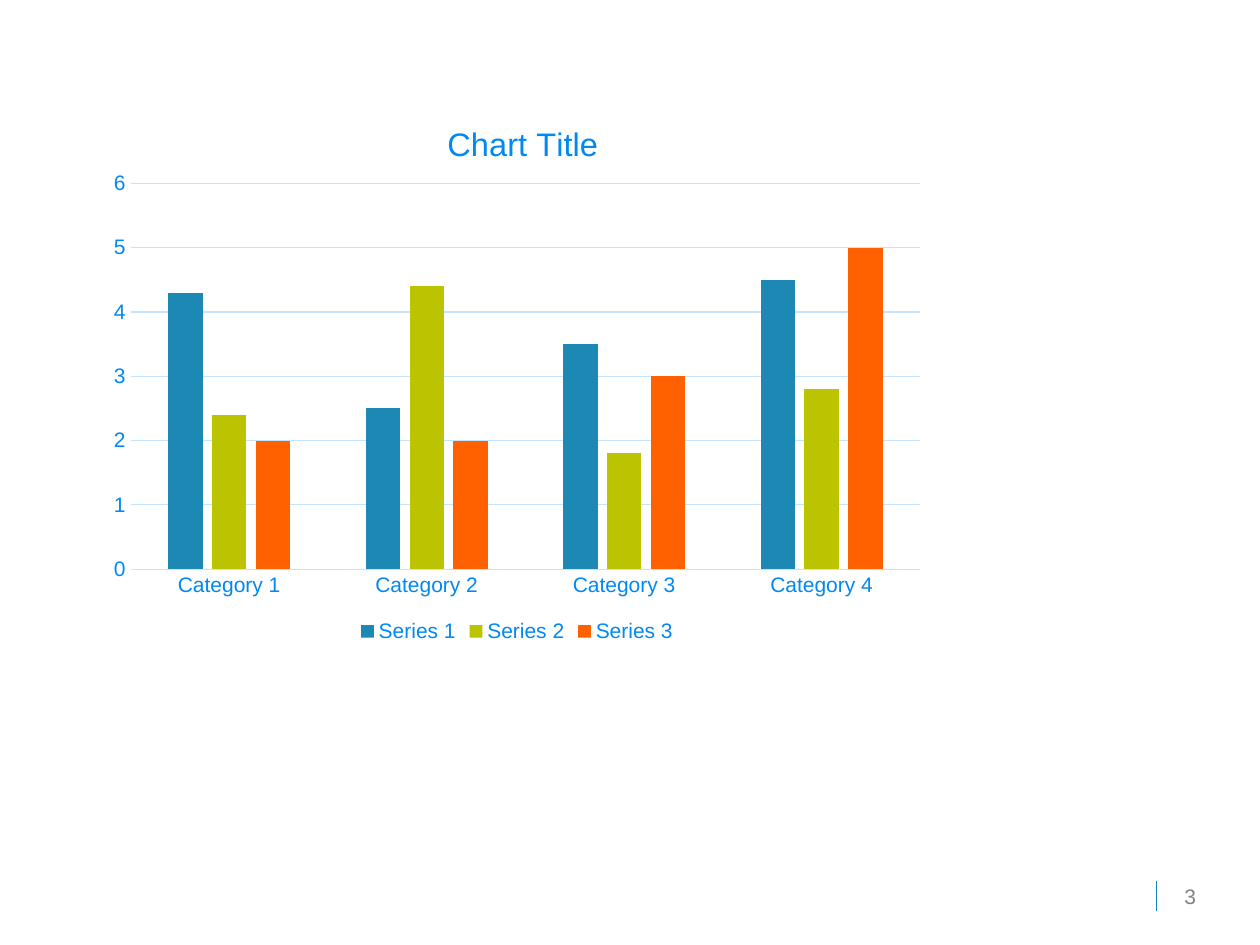
from dataclasses import dataclass

from lxml import etree
from pptx import Presentation
from pptx.chart.data import CategoryChartData
from pptx.dml.color import RGBColor
from pptx.enum import chart as ch, shapes, text
from pptx.oxml import parse_xml
from pptx.oxml.ns import nsdecls, qn
from pptx.util import Pt


@dataclass(frozen=True)
class Theme:
    face: str = "Arial"
    base: str = "003864"
    label: str = "0088F3"
    grid: str = "C2E4FF"
    rule: str = "1987B4"
    page: str = "818286"
    bars: tuple = ("1D88B4", "BCC300", "FF6000")
    head_size: float = 18.6
    text_size: float = 12
    base_size: float = 10
    line: float = 0.75


THEME = Theme()
CATS = [f"Category {n}" for n in range(1, 5)]
ROWS = [(4.3, 2.5, 3.5, 4.5), (2.4, 4.4, 1.8, 2.8), (2, 2, 3, 5)]


def style(font, size, color):
    font.name = THEME.face
    font.size = Pt(size)
    font.bold = False
    font.color.rgb = RGBColor.from_string(color)


def stroke(line, color):
    line.color.rgb = RGBColor.from_string(color)
    line.width = Pt(THEME.line)


def arrange(part, index, inner=False, **place):
    """Place a chart part by fractions of the chart's box."""
    for old in part.findall(qn("c:layout")):
        part.remove(old)
    tags = '<c:layoutTarget val="inner"/>' if inner else ""
    tags += "".join(f'<c:{k}Mode val="edge"/>' for k in "xy")
    tags += "".join(f'<c:{k} val="{v}"/>' for k, v in place.items())
    part.insert(index, parse_xml(
        f'<c:layout {nsdecls("c")}><c:manualLayout>{tags}'
        "</c:manualLayout></c:layout>"))


def add_columns(slide, left, top, width, height):
    data = CategoryChartData()
    data.categories = CATS
    for n, row in enumerate(ROWS, 1):
        data.add_series(f"Series {n}", row)
    chart = slide.shapes.add_chart(
        ch.XL_CHART_TYPE.COLUMN_CLUSTERED,
        Pt(left), Pt(top), Pt(width), Pt(height), data).chart
    style(chart.font, THEME.base_size, THEME.base)

    # Title
    chart.has_title = True
    title = chart.chart_title
    run = title.text_frame.paragraphs[0].add_run()
    run.text = "Chart Title"
    style(run.font, THEME.head_size, THEME.label)
    title.include_in_layout = False
    arrange(title._element, 1, x=0.41, y=0.05)

    # Columns
    plot = chart.plots[0]
    plot.gap_width, plot.overlap = 219, -27
    plot.vary_by_categories = False
    for series, color in zip(plot.series, THEME.bars):
        series.format.fill.solid()
        series.format.fill.fore_color.rgb = RGBColor.from_string(color)
    arrange(chart._chartSpace.chart.plotArea, 0, inner=True,
            x=0.04, y=0.17, w=0.94, h=0.69)

    # Axes
    for axis in (chart.category_axis, chart.value_axis):
        axis.major_tick_mark = axis.minor_tick_mark = ch.XL_TICK_MARK.NONE
        style(axis.tick_labels.font, THEME.text_size, THEME.label)
    stroke(chart.category_axis.format.line, THEME.grid)
    values = chart.value_axis
    values.minimum_scale, values.maximum_scale, values.major_unit = 0, 6, 1
    values.format.line.fill.background()
    stroke(values.major_gridlines.format.line, THEME.grid)

    # Legend
    chart.has_legend = True
    chart.legend.position = ch.XL_LEGEND_POSITION.BOTTOM
    chart.legend.include_in_layout = False
    style(chart.legend.font, THEME.text_size, THEME.label)


def add_page(slide, left, top, width, height):
    # Page number
    frame = slide.shapes.add_textbox(
        Pt(left), Pt(top), Pt(width), Pt(height)).text_frame
    frame.word_wrap = True
    frame.margin_top = Pt(5)
    para = frame.paragraphs[0]
    para.alignment = text.PP_ALIGN.RIGHT
    run = para.add_run()
    run.text = "3"
    style(run.font, THEME.text_size, THEME.page)

    # Rule beside the number
    rule = slide.shapes.add_connector(
        shapes.MSO_CONNECTOR.STRAIGHT,
        Pt(left - 0.7), Pt(top + 3.6), Pt(left - 0.7), Pt(top + 20.9))
    stroke(rule.line, THEME.rule)
    etree.SubElement(rule._element.spPr, qn("a:effectLst"))


def main():
    deck = Presentation()
    deck.slide_width, deck.slide_height = Pt(720), Pt(540)
    slide = deck.slides.add_slide(deck.slide_layouts[6])
    add_page(slide, 661.7, 499.7, 28.8, 28.8)
    add_columns(slide, 55.4, 50.4, 480.2, 319.7)
    deck.save("out.pptx")


if __name__ == "__main__":
    main()
